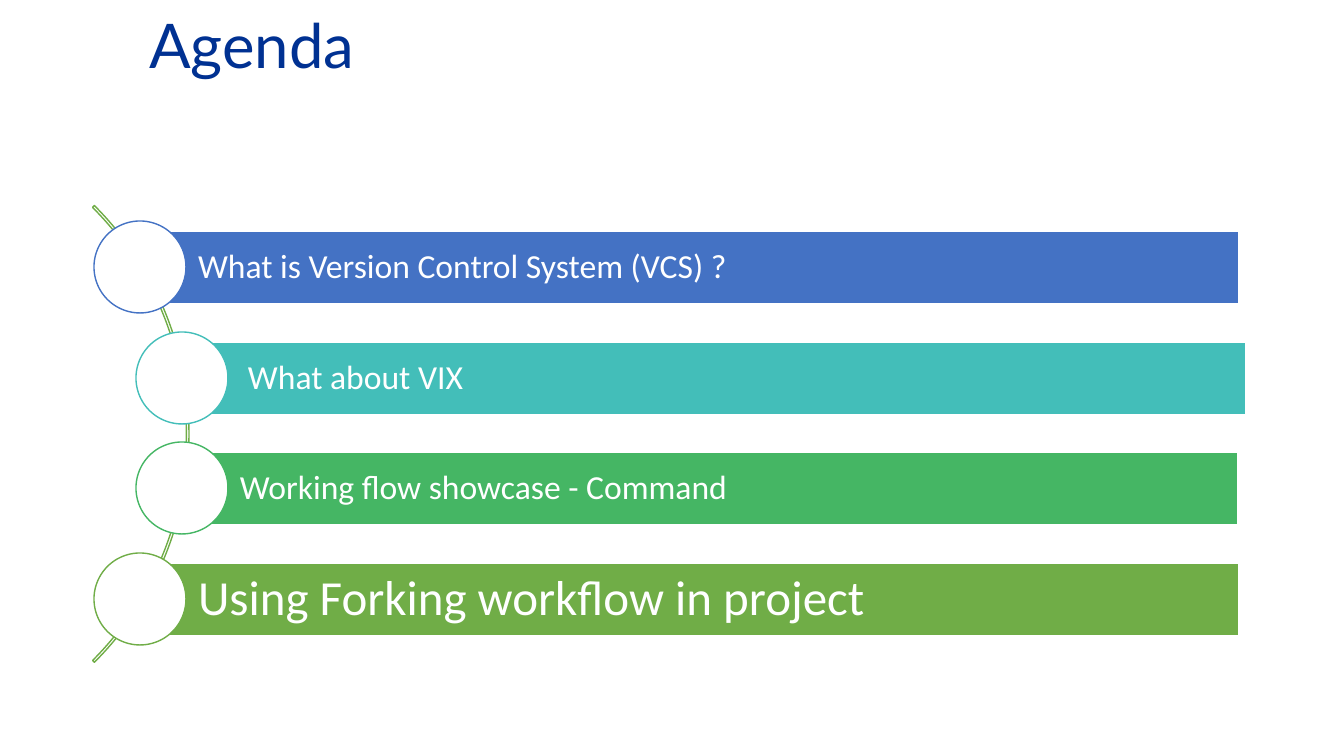
"""Build the agenda slide: four bars with circles along an arc."""
from pptx import Presentation
from pptx.dml.color import RGBColor
from pptx.enum.shapes import MSO_SHAPE as SHAPE
from pptx.enum.text import MSO_ANCHOR, MSO_AUTO_SIZE, PP_ALIGN
from pptx.util import Pt

EMU_PER_PX = 914400 / 100.8


def px(*lengths):
    return [round(n * EMU_PER_PX) for n in lengths]


def paint(fmt, color):
    fmt.solid()
    fmt.fore_color.rgb = RGBColor.from_string(color)


prs = Presentation()
prs.slide_width, prs.slide_height = px(1344, 756)
s = prs.slides.add_slide(prs.slide_layouts[5])

title = s.shapes.title
title.left, title.top, title.width, title.height = px(125, 0, 717, 98)
tf = title.text_frame
frame = {"word_wrap": True, "auto_size": MSO_AUTO_SIZE.NONE,
         "vertical_anchor": MSO_ANCHOR.MIDDLE}
for name, value in frame.items():
    setattr(tf, name, value)
p = tf.paragraphs[0]
p.alignment, p.line_spacing = PP_ALIGN.LEFT, 0.9
for text, font, color in [(" ", "Calibri", "000000"), ("Agenda", "Lato", "003192")]:
    r = p.add_run()
    r.text = text
    r.font.name, r.font.size = font, Pt(44)
    paint(r.font.fill, color)

arc = s.shapes.add_shape(SHAPE.BLOCK_ARC, *px(-457, 111, 646, 646))
arc.shadow.inherit = False
for i, value in enumerate([189, 27, 0.004]):
    arc.adjustments[i] = value
arc.fill.background()
paint(arc.line.fill, "70AD47")
arc.line.width = Pt(1)

topics = [
    ("What is Version Control System (VCS) ?", "4472C4", 94, 140, 1099, 24, 7),
    ("What about VIX", "43BEB9", 136, 190, 1056, 24, 7),
    ("Working flow showcase - Command", "45B664", 136, 182, 1056, 24, 7),
    ("Using Forking workflow in project", "70AD47", 94, 140, 1099, 35, 10),
]
for i, (text, color, circle_x, bar_x, bar_w, size, inset) in enumerate(topics):
    top = 221 + round(110.7 * i)
    bar = s.shapes.add_shape(SHAPE.RECTANGLE, *px(bar_x, top + 10, bar_w, 73))
    circle = s.shapes.add_shape(SHAPE.OVAL, *px(circle_x, top, 92, 92))
    for sp, fill, line in [(bar, color, "FFFFFF"), (circle, "FFFFFF", color)]:
        sp.shadow.inherit = False
        paint(sp.fill, fill)
        paint(sp.line.fill, line)
        sp.line.width = Pt(1)
    tf = bar.text_frame
    left, side = px(58, inset)
    margins = {"margin_left": left, "margin_top": side,
               "margin_right": side, "margin_bottom": side}
    for name, value in {**frame, **margins}.items():
        setattr(tf, name, value)
    p = tf.paragraphs[0]
    p.alignment, p.line_spacing = PP_ALIGN.LEFT, 0.9
    r = p.add_run()
    r.text = text
    r.font.name, r.font.size = "Calibri", Pt(size)
    paint(r.font.fill, "FFFFFF")

prs.save("out.pptx")
